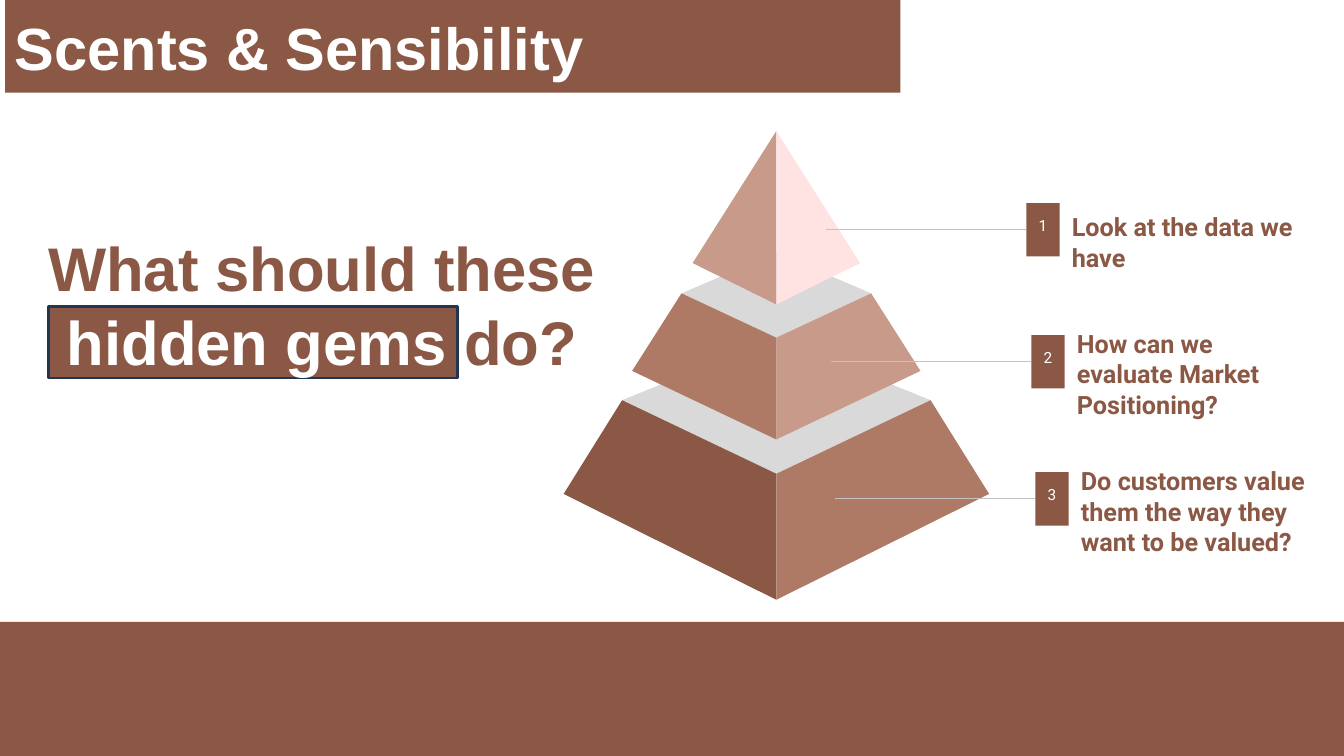
from dataclasses import dataclass

import lxml.etree
import pptx
import pptx.dml.color
import pptx.enum.shapes
import pptx.enum.text
import pptx.oxml.ns
import pptx.util
from pptx.util import Inches


@dataclass(frozen=True)
class Theme:
    brown: str = "8A5845"
    clay: str = "AE7965"
    sand: str = "C79A89"
    blush: str = "FFE2E2"
    top_face: str = "D9D9D9"
    rule: str = "C2C2C2"
    navy: str = "21364F"
    white: str = "FFFFFF"
    heading_font: str = "Arial"
    label_font: str = "Roboto"
    title_size: float = 42.5
    question_size: float = 44
    label_size: float = 18
    badge_size: float = 11


@dataclass(frozen=True)
class Tier:
    """One pyramid slice, symmetric about the pyramid axis."""
    top_half: float
    back_y: float
    shoulder_y: float
    front_y: float
    foot_half: float
    foot_y: float
    bottom_y: float
    left_color: str
    right_color: str


@dataclass(frozen=True)
class Callout:
    text: str
    badge_left: float
    center_y: float


THEME = Theme()
AXIS = 7.7
TIERS = [
    Tier(1.53, 3.35, 3.97, 4.7, 2.11, 4.9, 5.95, THEME.brown, THEME.clay),
    Tier(0.94, 2.51, 2.91, 3.35, 1.43, 3.68, 4.36, THEME.clay, THEME.sand),
    Tier(0, 1.3, 1.3, 1.3, 0.83, 2.61, 3.02, THEME.sand, THEME.blush),
]
CALLOUTS = [
    Callout("Look at the data we have", 10.18, 2.28),
    Callout("How can we evaluate Market Positioning?", 10.23, 3.59),
    Callout("Do customers value them the way they want to be valued?", 10.27, 4.95),
]
BADGE_WIDTH, BADGE_HEIGHT = 0.33, 0.53
LEADER_LENGTH = 1.99
LABEL_OFFSET, LABEL_WIDTH, LABEL_HEIGHT = 0.32, 2.49, 1.5
LABEL_DROP = 0.12


def rgb(color: str) -> pptx.dml.color.RGBColor:
    return pptx.dml.color.RGBColor.from_string(color)


def paint(shape, color: str) -> None:
    shape.shadow.inherit = False
    shape.fill.solid()
    shape.fill.fore_color.rgb = rgb(color)
    shape.line.fill.background()


def add_bar(page, left: float, top: float, width: float, height: float):
    bar = page.shapes.add_shape(
        pptx.enum.shapes.MSO_SHAPE.RECTANGLE,
        Inches(left), Inches(top), Inches(width), Inches(height))
    paint(bar, THEME.brown)
    return bar


def add_facet(page, points: list[tuple[float, float]], color: str) -> None:
    corners = [(Inches(AXIS + offset), Inches(y)) for offset, y in points]
    builder = page.shapes.build_freeform(*corners[0])
    builder.add_line_segments(corners[1:], close=True)
    paint(builder.convert_to_shape(), color)


def add_tier(page, tier: Tier) -> None:
    if tier.top_half:
        add_facet(page, [(-tier.top_half, tier.shoulder_y), (0, tier.front_y),
                         (tier.top_half, tier.shoulder_y), (0, tier.back_y)],
                  THEME.top_face)
    for side, color in ((-1, tier.left_color), (1, tier.right_color)):
        add_facet(page, [(side * tier.top_half, tier.shoulder_y),
                         (side * tier.foot_half, tier.foot_y),
                         (0, tier.bottom_y), (0, tier.front_y)], color)


def write(shape, spans: list[tuple[str, str]], font: dict, paragraph: dict,
          frame: dict) -> None:
    """Fill a shape with one paragraph of (text, color) spans."""
    box = shape.text_frame
    for name, value in frame.items():
        setattr(box, name, value)
    para = box.paragraphs[0]
    for name, value in paragraph.items():
        setattr(para, name, value)
    for text, color in spans:
        span = para.add_run()
        span.text = text
        for name, value in font.items():
            setattr(span.font, name, value)
        span.font.color.rgb = rgb(color)


def margins(side: float, top: float) -> dict:
    return {"margin_left": Inches(side), "margin_right": Inches(side),
            "margin_top": Inches(top), "margin_bottom": Inches(top)}


def font_format(name: str, size: float, bold: bool) -> dict:
    return {"name": name, "size": pptx.util.Pt(size), "bold": bold}


def add_callout(page, number: int, callout: Callout) -> None:
    align = pptx.enum.text.PP_ALIGN
    anchor = pptx.enum.text.MSO_ANCHOR
    # Numbered badge
    badge = add_bar(page, callout.badge_left, callout.center_y - BADGE_HEIGHT / 2,
                    BADGE_WIDTH, BADGE_HEIGHT)
    write(badge, [(str(number), THEME.white)],
          font_format(THEME.label_font, THEME.badge_size, False),
          {"alignment": align.CENTER},
          {"word_wrap": False, "vertical_anchor": anchor.TOP, **margins(0.13, 0.13)})
    # Leader line
    y = Inches(callout.center_y)
    leader = page.shapes.add_connector(
        pptx.enum.shapes.MSO_CONNECTOR.STRAIGHT,
        Inches(callout.badge_left - LEADER_LENGTH), y, Inches(callout.badge_left), y)
    leader.end_connect(badge, 1)
    leader.line.color.rgb = rgb(THEME.rule)
    leader.line.width = pptx.util.Pt(0.75)
    lxml.etree.SubElement(leader._element.spPr, pptx.oxml.ns.qn("a:effectLst"))
    # Label
    label = page.shapes.add_textbox(
        Inches(callout.badge_left + LABEL_OFFSET),
        Inches(callout.center_y + LABEL_DROP - LABEL_HEIGHT / 2),
        Inches(LABEL_WIDTH), Inches(LABEL_HEIGHT))
    write(label, [(callout.text, THEME.brown)],
          font_format(THEME.label_font, THEME.label_size, True), {},
          {"word_wrap": True, "vertical_anchor": anchor.MIDDLE, **margins(0.13, 0.13)})


def main() -> None:
    deck = pptx.Presentation()
    deck.slide_width, deck.slide_height = Inches(13.33), Inches(7.5)
    page = deck.slides.add_slide(deck.slide_layouts[6])
    align = pptx.enum.text.PP_ALIGN
    anchor = pptx.enum.text.MSO_ANCHOR

    # Highlight behind the key words
    highlight = add_bar(page, 0.48, 3.04, 4.06, 0.71)
    highlight.line.color.rgb = rgb(THEME.navy)
    highlight.line.width = pptx.util.Pt(2)

    # Title and footer bars
    title = add_bar(page, 0.05, 0, 8.88, 0.92)
    write(title, [("Scents & Sensibility", THEME.white)],
          font_format(THEME.heading_font, THEME.title_size, True),
          {"alignment": align.LEFT, "line_spacing": pptx.util.Pt(51)},
          {"word_wrap": True, "vertical_anchor": anchor.TOP, **margins(0.1, 0.11)})
    add_bar(page, 0, 6.17, 13.33, 1.33)

    # Pyramid, bottom tier first
    for tier in TIERS:
        add_tier(page, tier)

    # Question
    question = page.shapes.add_textbox(
        Inches(0.22), Inches(2.23), Inches(5.95), Inches(1.58))
    write(question, [("What should these ", THEME.brown),
                     ("hidden gems ", THEME.white), ("do?", THEME.brown)],
          font_format(THEME.heading_font, THEME.question_size, True),
          {"alignment": align.CENTER, "line_spacing": pptx.util.Pt(53)},
          {"word_wrap": True, **margins(0.1, 0.05)})

    # Numbered callouts
    for number, callout in enumerate(CALLOUTS, start=1):
        add_callout(page, number, callout)

    deck.save("out.pptx")


if __name__ == "__main__":
    main()
